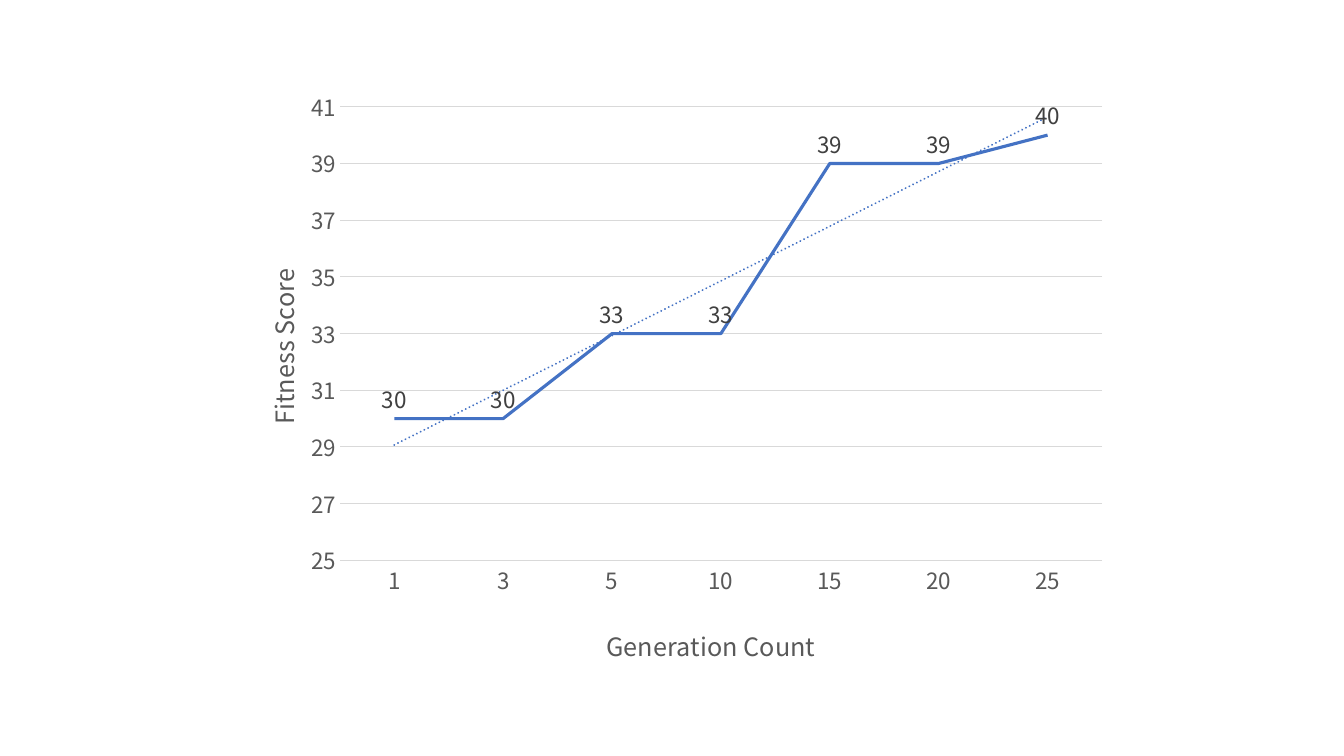
from lxml import etree
from pptx import Presentation
from pptx import util as u
from pptx.chart import data as cd
from pptx.dml.color import RGBColor
from pptx.enum import chart as ch
from pptx.oxml import parse_xml
from pptx.oxml.ns import nsdecls, qn

HUES = {"line": "4472C4", "grid": "D9D9D9", "axis": "595959", "label": "404040"}
FACE = "Noto Sans CJK SC"
LEFT, TOP, WIDTH, HEIGHT = 2.22, 0.79, 8.89, 5.93


def style(font, size, hue):
    font.name = FACE
    font.size = u.Pt(size)
    font.bold = False
    font.color.rgb = RGBColor.from_string(HUES[hue])


def place(node, index, **spots):
    """Give a chart part a fixed place, as fractions of the chart."""
    for old in node.findall(qn("c:layout")):
        node.remove(old)
    layout = etree.Element(qn("c:layout"))
    manual = etree.SubElement(layout, qn("c:manualLayout"))
    if "w" in spots:
        etree.SubElement(manual, qn("c:layoutTarget"), val="inner")
    for key in ("x", "y"):
        etree.SubElement(manual, qn(f"c:{key}Mode"), val="edge")
    for key, spot in spots.items():
        etree.SubElement(manual, qn(f"c:{key}"), val=str(round(spot, 4)))
    node.insert(index, layout)


deck = Presentation()
deck.slide_width, deck.slide_height = u.Inches(13.33), u.Inches(7.5)
slide = deck.slides.add_slide(deck.slide_layouts[6])

# Line chart
data = cd.CategoryChartData()
data.categories = ["1", "3", "5", "10", "15", "20", "25"]
data.add_series("Series 1", [30, 30, 33, 33, 39, 39, 40])
frame = slide.shapes.add_chart(
    ch.XL_CHART_TYPE.LINE, u.Inches(LEFT), u.Inches(TOP),
    u.Inches(WIDTH), u.Inches(HEIGHT), data)
chart = frame.chart
chart.has_title = False
chart.has_legend = False
style(chart.font, 10, "axis")
plot = chart.plots[0]
plot.vary_by_categories = False

# Axes with their titles
cat, val = chart.category_axis, chart.value_axis
for axis, name, x, y in ((cat, "Generation Count", 5.97, 6.15),
                         (val, "Fitness Score", 2.55, 2.62)):
    axis.major_tick_mark = axis.minor_tick_mark = ch.XL_TICK_MARK.NONE
    style(axis.tick_labels.font, 16, "axis")
    title = axis.axis_title
    run = title.text_frame.paragraphs[0].add_run()
    run.text = name
    style(run.font, 18, "axis")
    place(title._element, 1, x=(x - LEFT) / WIDTH, y=(y - TOP) / HEIGHT)

val.axis_title.text_frame._txBody.bodyPr.set("rot", "-5400000")
val.axis_title.text_frame._txBody.bodyPr.set("vert", "horz")
val.minimum_scale, val.maximum_scale, val.major_unit = 25, 41, 2
val.format.line.fill.background()
for line in (cat.format.line, val.major_gridlines.format.line):
    line.color.rgb = RGBColor.from_string(HUES["grid"])
    line.width = u.Pt(0.75)

# Plot area
place(chart._chartSpace.chart.plotArea, 0,
      x=(3.37 - LEFT) / WIDTH, y=(1.06 - TOP) / HEIGHT,
      w=7.56 / WIDTH, h=4.5 / HEIGHT)

# Score line and its labels
score = plot.series[0]
score.smooth = False
score.marker.style = ch.XL_MARKER_STYLE.NONE
score.format.line.color.rgb = RGBColor.from_string(HUES["line"])
score.format.line.width = u.Pt(2.25)
labels = score.data_labels
labels.show_value = True
labels.position = ch.XL_LABEL_POSITION.ABOVE
style(labels.font, 16, "label")

# Dotted linear trend
trend = parse_xml(
    f'<c:trendline {nsdecls("c", "a")}><c:spPr><a:ln w="{u.Pt(1.5)}" cap="rnd">'
    f'<a:solidFill><a:srgbClr val="{HUES["line"]}"/></a:solidFill>'
    '<a:prstDash val="sysDot"/></a:ln></c:spPr><c:trendlineType val="linear"/>'
    '<c:dispRSqr val="0"/><c:dispEq val="0"/></c:trendline>')
score._element.find(qn("c:cat")).addprevious(trend)

deck.save("out.pptx")
